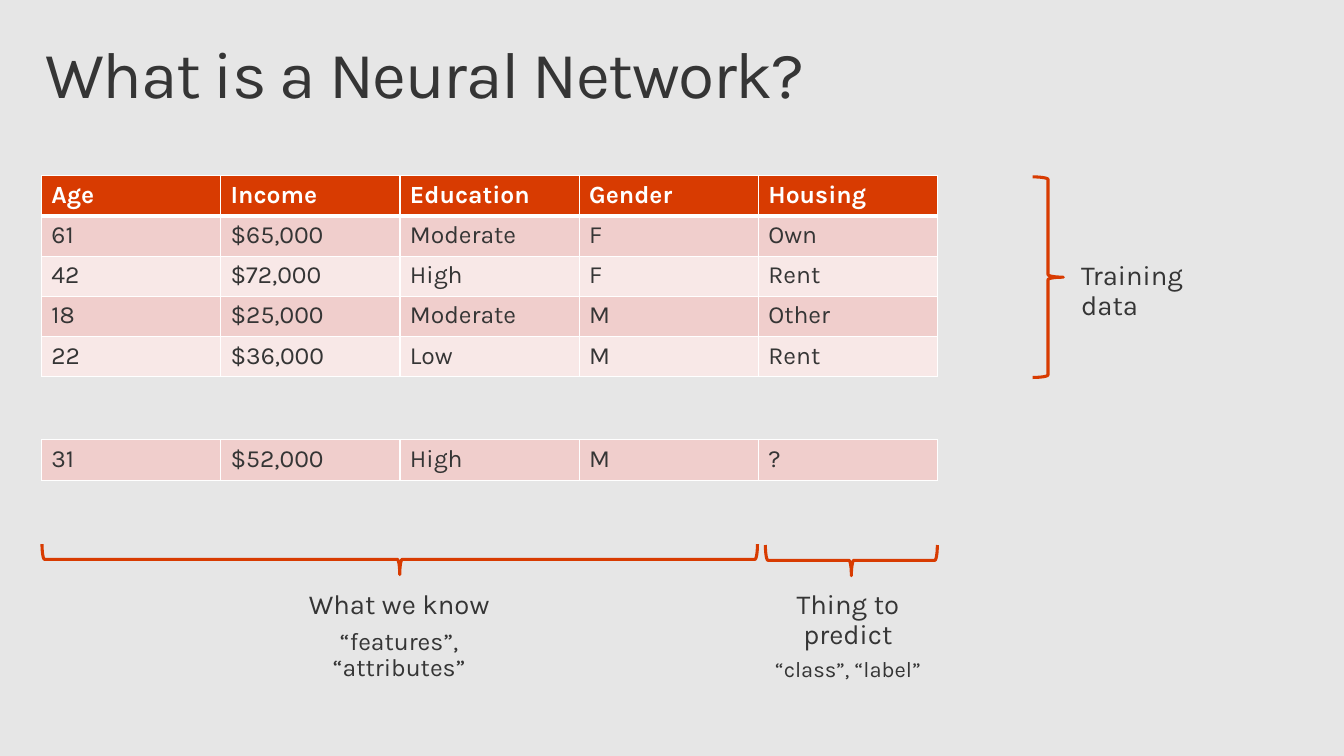
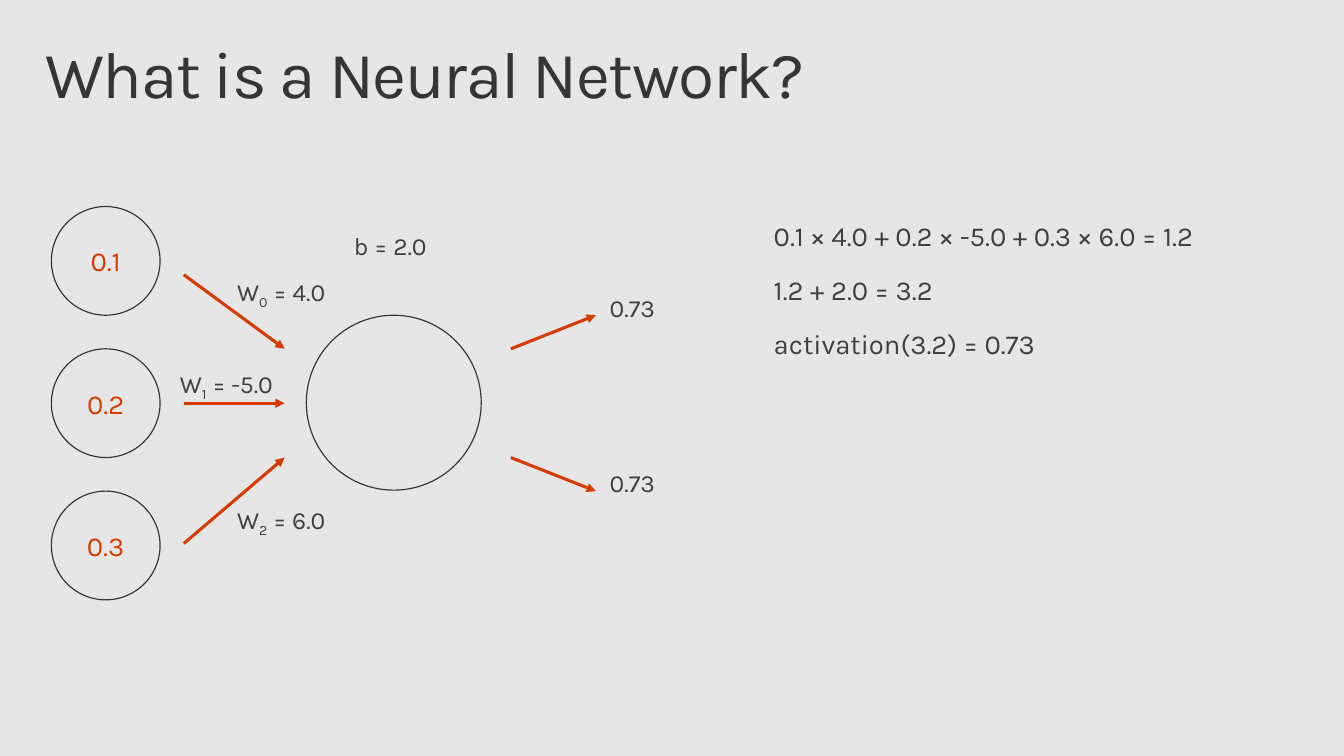
from lxml import etree
from pptx import Presentation
from pptx.dml.color import RGBColor
from pptx.enum import shapes, text
from pptx.oxml.ns import qn
from pptx.util import Inches, Pt

rgb = RGBColor.from_string
FONT = "Karla"
PAPER, INK, GREY, ORANGE, WHITE = "E6E6E6", "353535", "404040", "D83B01", "FFFFFF"
BANDS = ["F0CECC", "F8E8E7"]
LEFT, CENTER = text.PP_ALIGN.LEFT, text.PP_ALIGN.CENTER


def write(tf, lines, color=INK, align=LEFT, spacing=None, bold=False):
    for i, (line, size) in enumerate(lines):
        p = tf.paragraphs[0] if i == 0 else tf.add_paragraph()
        p.alignment = align
        if spacing:
            p.line_spacing = spacing
            p.space_after = Pt(6)
        p.font.name = FONT
        p.font.size = Pt(size)
        p.font.bold = bold
        p.font.color.rgb = rgb(color)
        for j, part in enumerate(line.split("|")):
            r = p.add_run()
            r.text = part
            if j % 2:
                r.font._element.set("baseline", "-25000")


def add_text(s, box, lines, color=INK, align=LEFT, inset=(0.2, 0.16)):
    tf = s.shapes.add_textbox(*map(Inches, box)).text_frame
    tf.word_wrap = True
    tf.margin_left = tf.margin_right = Inches(inset[0])
    tf.margin_top = tf.margin_bottom = Inches(inset[1])
    write(tf, lines, color, align, 0.9)
    return tf


prs = Presentation()
prs.slide_width, prs.slide_height = Inches(13.6), Inches(7.65)
bg = prs.slide_master.background.fill
bg.solid()
bg.fore_color.rgb = rgb(PAPER)

slides = []
for title in ["What is a Neural Network?"] * 2:
    s = prs.slides.add_slide(prs.slide_layouts[6])
    tf = add_text(s, (0.3, 0.32, 13, 1), [(title, 48)], inset=(0.16, 0.1))
    tf.paragraphs[0].runs[0].font._element.set("spc", "-100")
    slides.append(s)
data_slide, neuron_slide = slides

s = data_slide
training = [
    ["Age", "Income", "Education", "Gender", "Housing"],
    ["61", "$65,000", "Moderate", "F", "Own"],
    ["42", "$72,000", "High", "F", "Rent"],
    ["18", "$25,000", "Moderate", "M", "Other"],
    ["22", "$36,000", "Low", "M", "Rent"],
]
unknown = [["31", "$52,000", "High", "M", "?"]]
for top, height, rows, has_header in [(1.78, 2.03, training, True), (4.45, 0.41, unknown, False)]:
    table = s.shapes.add_table(len(rows), 5, Inches(0.42), Inches(top),
                               Inches(9.07), Inches(height)).table
    table.first_row = has_header
    table.horz_banding = False
    for i, row in enumerate(rows):
        header = has_header and i == 0
        for j, value in enumerate(row):
            cell = table.cell(i, j)
            cell.fill.solid()
            cell.fill.fore_color.rgb = rgb(ORANGE if header else BANDS[(i - has_header) % 2])
            write(cell.text_frame, [(value, 18)], WHITE if header else INK, bold=header)
            tcPr = cell._tc.get_or_add_tcPr()
            for k, side in enumerate(["lnL", "lnR", "lnT", "lnB"]):
                thick = has_header and (i, side) in [(0, "lnB"), (1, "lnT")]
                ln = etree.Element(qn("a:" + side), w=str(Pt(3 if thick else 1)))
                fill = etree.SubElement(ln, qn("a:solidFill"))
                etree.SubElement(fill, qn("a:srgbClr"), val=WHITE)
                tcPr.insert(k, ln)

for x, y, length, angle in [(10.45, 1.79, 2.03, 0), (3.89, 2.04, 7.24, 90), (8.46, 4.8, 1.74, 90)]:
    sp = s.shapes.add_shape(shapes.MSO_SHAPE.RIGHT_BRACE, Inches(x), Inches(y),
                            Inches(0.31), Inches(length))
    sp.rotation = angle
    sp.shadow.inherit = False
    sp.fill.background()
    sp.line.color.rgb = rgb(ORANGE)
    sp.line.width = Pt(2.25)

add_text(s, (10.74, 2.49, 1.96, 0.63), [("Training data", 20)])
add_text(s, (2.66, 5.82, 2.76, 0.98),
         [("What we know", 20), ("“features”, “attributes”", 18)], align=CENTER)
add_text(s, (7.42, 5.82, 2.32, 0.95),
         [("Thing to predict", 20), ("“class”, “label”", 16)], align=CENTER)

s = neuron_slide
circles = [(0.52, 2.09 + 1.44 * i, 1.1, value) for i, value in enumerate(["0.1", "0.2", "0.3"])]
circles.append((3.1, 3.19, 1.77, None))
for x, y, size, value in circles:
    sp = s.shapes.add_shape(shapes.MSO_SHAPE.OVAL, Inches(x), Inches(y), Inches(size), Inches(size))
    sp.shadow.inherit = False
    sp.fill.solid()
    sp.fill.fore_color.rgb = rgb(PAPER)
    sp.line.color.rgb = rgb(INK)
    sp.line.width = Pt(0.85)
    if value:
        tf = sp.text_frame
        tf.margin_left = tf.margin_right = 0
        tf.vertical_anchor = text.MSO_ANCHOR.MIDDLE
        write(tf, [(value, 20)], ORANGE, CENTER)

for ends in [(1.86, 2.78, 2.88, 3.53), (1.86, 4.08, 2.88, 4.08), (1.86, 5.5, 2.88, 4.63),
             (5.17, 3.53, 6.03, 3.19), (5.17, 4.63, 6.03, 4.97)]:
    arrow = s.shapes.add_connector(shapes.MSO_CONNECTOR.STRAIGHT, *map(Inches, ends))
    arrow.line.color.rgb = rgb(ORANGE)
    arrow.line.width = Pt(2.25)
    etree.SubElement(arrow.line._get_or_add_ln(), qn("a:tailEnd"), type="triangle")
    etree.SubElement(arrow._element.spPr, qn("a:effectLst"))

for x, y, weight in [(2.2, 2.65, "W|0| = 4.0"), (1.62, 3.58, "W|1| = -5.0"), (2.2, 4.96, "W|2| = 6.0")]:
    add_text(s, (x, y, 1.83, 0.6), [(weight, 18)], GREY)
for y in [2.86, 4.63]:
    add_text(s, (5.97, y, 1.66, 0.6), [("0.73", 18)], GREY)
add_text(s, (3.12, 2.23, 1.66, 0.6), [("b = 2.0", 18)], GREY, CENTER)

steps = ["0.1 × 4.0 + 0.2 × -5.0 + 0.3 × 6.0 = 1.2", "1.2 + 2.0 = 3.2", "activation(3.2) = 0.73"]
for i, step in enumerate(steps):
    add_text(s, (7.63, 2.1 + 0.55 * i, 5.47, 0.63), [(step, 20)], GREY)

prs.save("out.pptx")
